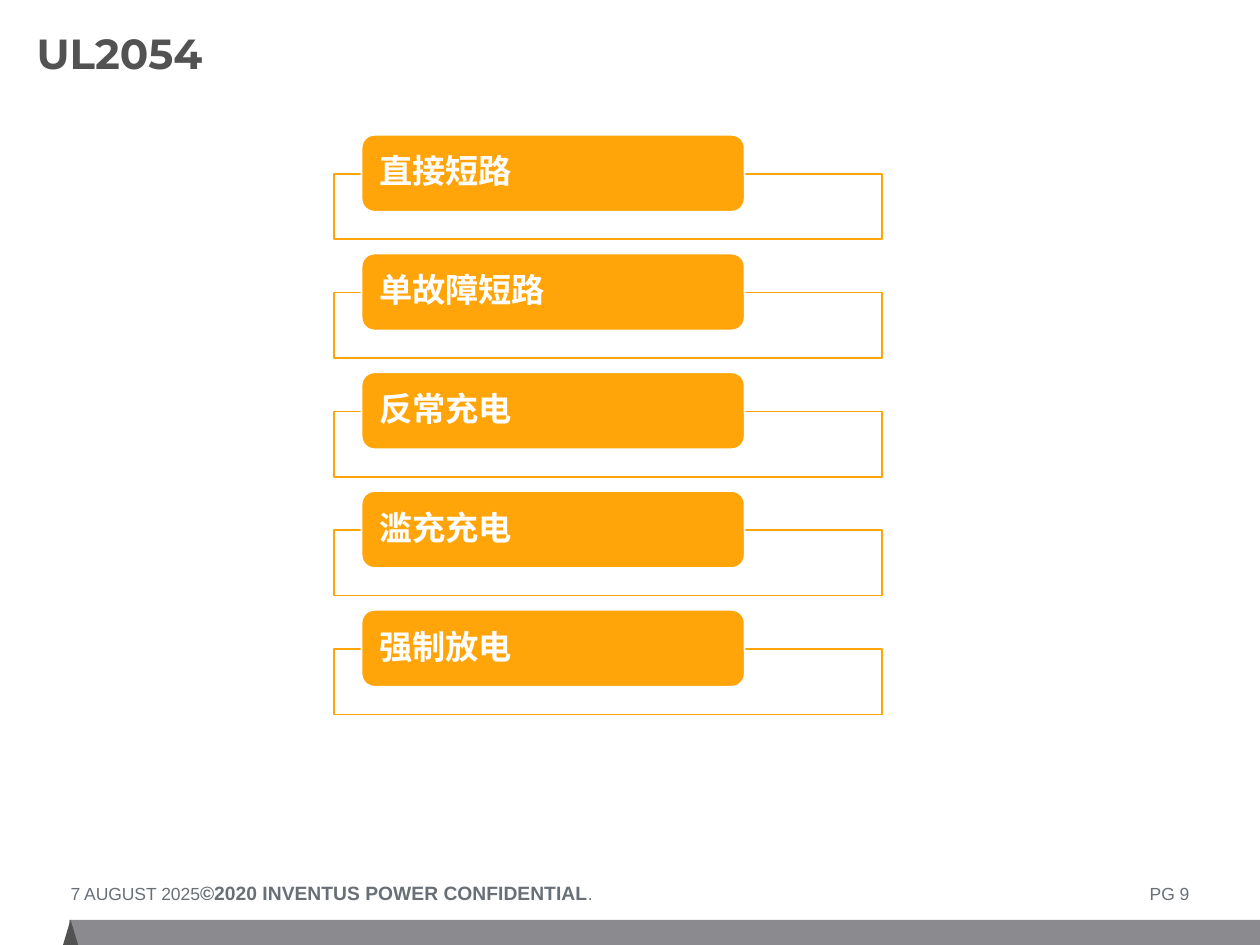
import dataclasses

import lxml.etree
import pptx
import pptx.dml.color
import pptx.enum.shapes
import pptx.enum.text
import pptx.oxml.ns
import pptx.util

RGB = pptx.dml.color.RGBColor
WHITE = RGB(0xFF, 0xFF, 0xFF)
ORANGE = RGB(0xFF, 0xA4, 0x09)
DARK = RGB(0x53, 0x52, 0x52)
GREY = RGB(0x8B, 0x8A, 0x8F)
SLATE = RGB(0x68, 0x6F, 0x76)

KIND = pptx.enum.shapes.MSO_SHAPE
ALIGN = pptx.enum.text.PP_ALIGN
MIDDLE = pptx.enum.text.MSO_ANCHOR.MIDDLE
QN = pptx.oxml.ns.qn

CELL = pptx.util.Inches(0.05)  # the slide is a grid of 200 by 150 cells
PITCH = 18.85
TESTS = ["直接短路", "单故障短路", "反常充电", "滥充充电", "强制放电"]


@dataclasses.dataclass(frozen=True)
class Box:
    """A place on the grid, in columns and rows."""
    col: float
    row: float
    wide: float
    high: float

    def down(self, rows: float) -> "Box":
        return dataclasses.replace(self, row=self.row + rows)

    def size(self) -> list:
        return [round(n * CELL) for n in dataclasses.astuple(self)]


FRAME = Box(53, 27.6, 87, 10.4)
LABEL = Box(57.4, 21.4, 60.8, 12.2)
TITLE = Box(5.8, 2.8, 147.6, 12.8)
FOOT = Box(11.2, 139.8, 177.8, 3.8)
BAR = Box(11, 146, 189, 4)
PEAK = Box(10, 146, 2.4, 4)


def draw(slide, kind, box: Box, fill: RGB, line: RGB | None = None):
    shape = slide.shapes.add_shape(kind, *box.size())
    shape.shadow.inherit = False
    shape.fill.solid()
    shape.fill.fore_color.rgb = fill
    if line is None:
        shape.line.fill.background()
    else:
        shape.line.color.rgb = line
        shape.line.width = pptx.util.Pt(1)
    return shape


def inset(frame, side: float = 0) -> None:
    frame.margin_left = frame.margin_right = pptx.util.Inches(side)
    frame.margin_top = frame.margin_bottom = 0
    frame.word_wrap = True


def style(font, size: float, color: RGB, bold: bool, face: str = "Arial") -> None:
    font.name, font.size, font.bold = face, pptx.util.Pt(size), bold
    font.color.rgb = color


def head(slide) -> None:
    title = slide.shapes.title
    title.left, title.top, title.width, title.height = TITLE.size()
    frame = title.text_frame
    inset(frame)
    frame.vertical_anchor = MIDDLE
    para = frame.paragraphs[0]
    para.text = "UL2054"
    para.alignment = ALIGN.LEFT
    para.line_spacing = 0.75
    style(para.font, 24, DARK, True, "Montserrat")
    style(para.runs[0].font, 24, DARK, True, "Montserrat")


def foot(slide) -> None:
    draw(slide, KIND.RECTANGLE, BAR, GREY)
    draw(slide, KIND.ISOSCELES_TRIANGLE, PEAK, DARK)
    frame = slide.shapes.add_textbox(*FOOT.size()).text_frame
    inset(frame)
    para = frame.paragraphs[0]
    tabs = lxml.etree.SubElement(para._p.get_or_add_pPr(), QN("a:tabLst"))
    for inch, algn in [(3.38, "dec"), (8.88, "r")]:
        lxml.etree.SubElement(tabs, QN("a:tab"), algn=algn,
                              pos=str(pptx.util.Inches(inch)))
    for text, size, bold in [
        ("7 AUGUST 2025\t", 10, False),
        ("©2020 INVENTUS POWER CONFIDENTIAL", 11, True),
        (".\tPG 9", 10, False),
    ]:
        run = para.add_run()
        run.text = text
        style(run.font, size, SLATE, bold)


def entry(slide, text: str, rows: float) -> None:
    """Draw one test: an open frame with its label on the top edge."""
    back = draw(slide, KIND.RECTANGLE, FRAME.down(rows), WHITE, ORANGE)
    tint = back._element.spPr.find(QN("a:solidFill")).find(QN("a:srgbClr"))
    lxml.etree.SubElement(tint, QN("a:alpha"), val="90000")
    label = draw(slide, KIND.ROUNDED_RECTANGLE, LABEL.down(rows), ORANGE, WHITE)
    frame = label.text_frame
    inset(frame, 0.11)
    frame.vertical_anchor = MIDDLE
    para = frame.paragraphs[0]
    para.text = text
    para.alignment = ALIGN.LEFT
    para.line_spacing = 0.9
    style(para.font, 19, WHITE, True)


def main() -> None:
    deck = pptx.Presentation()
    deck.slide_width, deck.slide_height = 200 * CELL, 150 * CELL
    slide = deck.slides.add_slide(deck.slide_layouts[5])
    foot(slide)
    head(slide)
    for i, text in enumerate(TESTS):
        entry(slide, text, i * PITCH)
    deck.save("out.pptx")


if __name__ == "__main__":
    main()
